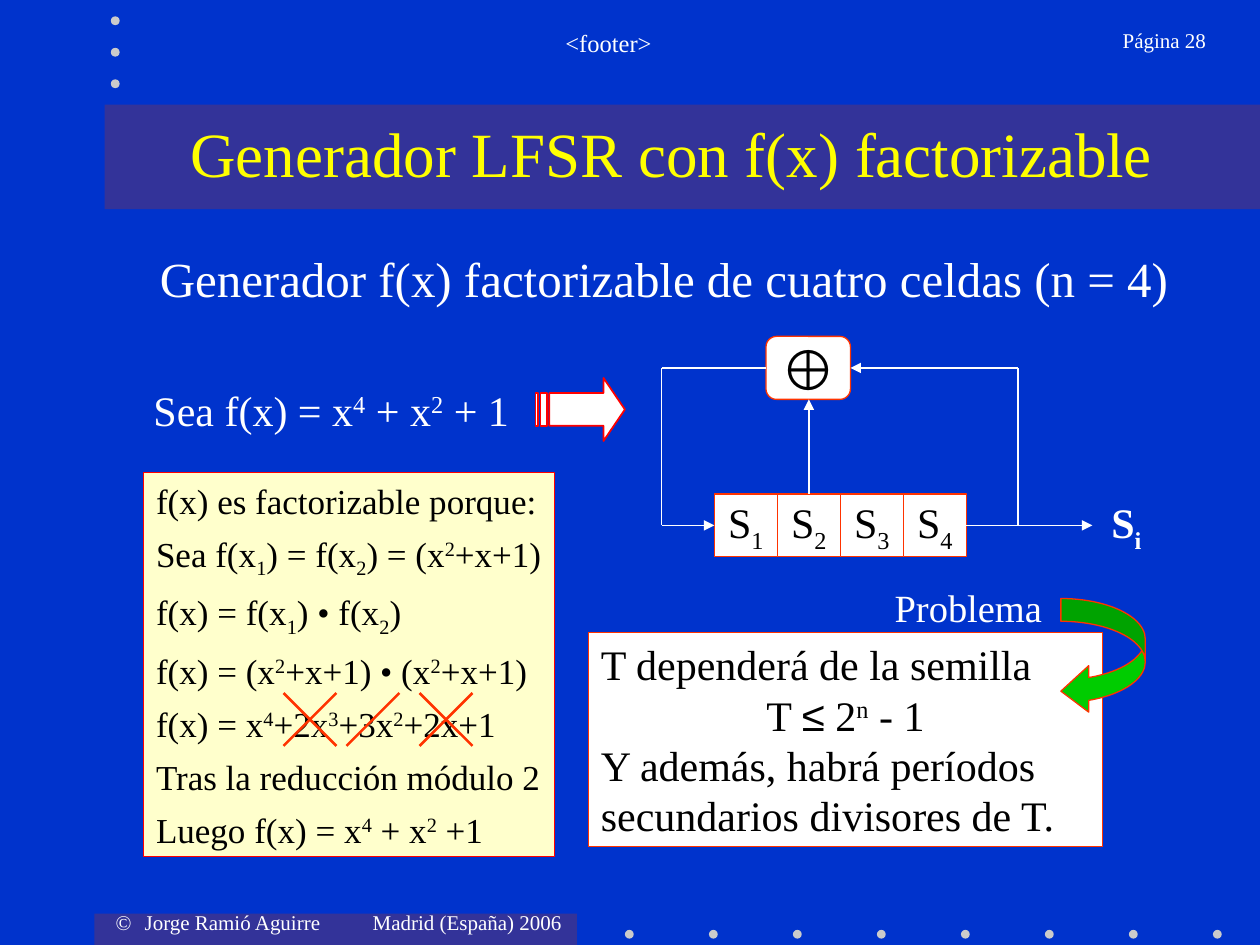
from pptx import Presentation
from pptx.dml.color import RGBColor
from pptx.enum.shapes import MSO_CONNECTOR, MSO_SHAPE
from pptx.enum.text import MSO_ANCHOR, PP_ALIGN
from pptx.oxml.ns import qn
from pptx.util import Inches, Pt
from lxml.etree import SubElement

COLORS = {
    "background": "0033CC", "band": "333399", "dot": "CBCBCB",
    "title": "FFFF00", "white": "FFFFFF", "black": "000000",
    "note": "FFFFCC", "red": "FF0000", "orange": "FF3300", "green": "00CC00",
}
BASELINES = {"^": "30000", "_": "-25000"}
SYMBOLS = "≤⊕"


def rgb(name):
    return RGBColor.from_string(COLORS[name])


def split_marks(text):
    """Split text into (piece, mark); ^ raises and _ lowers the next character."""
    pieces, plain, chars = [], "", iter(text)
    for ch in chars:
        if ch in BASELINES or ch in SYMBOLS:
            if plain:
                pieces.append((plain, None))
            plain = ""
            pieces.append((next(chars), ch) if ch in BASELINES else (ch, None))
        else:
            plain += ch
    if plain:
        pieces.append((plain, None))
    return pieces


class SlideBuilder:
    font = "Times New Roman"
    symbol_font = "Arial"

    def __init__(self, slide):
        self.slide = slide
        slide.background.fill.solid()
        slide.background.fill.fore_color.rgb = rgb("background")

    def paint(self, sp, fill, line=None, width=0.75):
        sp.shadow.inherit = False
        sp.fill.solid()
        sp.fill.fore_color.rgb = rgb(fill)
        if line:
            sp.line.color.rgb = rgb(line)
            sp.line.width = Pt(width)
        else:
            sp.line.fill.background()
        return sp

    def shape(self, kind, x, y, w, h, fill, line=None, adjustments=()):
        sp = self.slide.shapes.add_shape(kind, Inches(x), Inches(y), Inches(w), Inches(h))
        for i, value in enumerate(adjustments):
            sp.adjustments[i] = value
        return self.paint(sp, fill, line)

    def freeform(self, contours, fill, line, width):
        points = [[(Inches(x), Inches(y)) for x, y in c] for c in contours]
        builder = self.slide.shapes.build_freeform(*points[0][0])
        builder.add_line_segments(points[0][1:], close=True)
        for contour in points[1:]:
            builder.move_to(*contour[0])
            builder.add_line_segments(contour[1:], close=True)
        return self.paint(builder.convert_to_shape(), fill, line, width)

    def line(self, start, end, color="white", width=0.75, arrow=False):
        c = self.slide.shapes.add_connector(
            MSO_CONNECTOR.STRAIGHT, *(Inches(v) for v in start + end))
        c.line.color.rgb = rgb(color)
        c.line.width = Pt(width)
        spPr = c._element.spPr
        if arrow:
            SubElement(spPr.find(qn("a:ln")), qn("a:tailEnd"), type="triangle")
        SubElement(spPr, qn("a:effectLst"))

    def fill_text(self, sp, lines, size, color="black", align=PP_ALIGN.LEFT,
                  anchor=MSO_ANCHOR.MIDDLE, wrap=True, bold=False, gap=0):
        tf = sp.text_frame
        tf.word_wrap = wrap
        tf.vertical_anchor = anchor
        for i, line in enumerate(lines):
            p = tf.paragraphs[0] if i == 0 else tf.add_paragraph()
            p.alignment = align
            if i and gap:
                p.space_before = Pt(gap)
            for piece, mark in split_marks(line):
                r = p.add_run()
                r.text = piece
                r.font.size = Pt(size)
                r.font.bold = bold
                r.font.color.rgb = rgb(color)
                r.font.name = self.symbol_font if piece in SYMBOLS else self.font
                if mark:
                    r.font._element.set("baseline", BASELINES[mark])
        return tf

    def text(self, x, y, w, h, text, size, color="white", **style):
        box = self.slide.shapes.add_textbox(Inches(x), Inches(y), Inches(w), Inches(h))
        return self.fill_text(box, [text], size, color, **style)


def add_frame(s):
    s.shape(MSO_SHAPE.RECTANGLE, 0.75, 7.25, 3.83, 0.25, "band")
    s.shape(MSO_SHAPE.RECTANGLE, 0.83, 0.83, 9.17, 0.83, "band")
    dots = [(4.96 + i * 2 / 3, 7.38) for i in range(8)]
    dots += [(0.88, 0.13 + i * 0.25) for i in range(3)]
    for x, y in dots:
        s.shape(MSO_SHAPE.OVAL, x, y, 0.07, 0.07, "dot")

    top = MSO_ANCHOR.TOP
    tf = s.text(0.82, 7.17, 3.8, 0.34, "©\tJorge Ramió Aguirre\tMadrid (España) 2006",
                12, anchor=top)
    p = tf.paragraphs[0]
    tabs = SubElement(p._p.get_or_add_pPr(), qn("a:tabLst"))
    for stop in (0.23, 2.04):
        SubElement(tabs, qn("a:tab"), pos=str(Inches(stop)), algn="l")
    s.text(1.58, 0.17, 6.5, 0.5, "<footer>", 14, align=PP_ALIGN.CENTER, anchor=top)
    s.text(8.3, 0.17, 1.37, 0.5, "Página 28", 12, align=PP_ALIGN.RIGHT, anchor=top)
    s.text(0.83, 0.83, 9, 0.75, "Generador LFSR con f(x) factorizable", 36, "title",
           align=PP_ALIGN.CENTER)
    s.text(1.17, 1.92, 8.5, 0.58, "Generador f(x) factorizable de cuatro celdas (n = 4)",
           28, anchor=top)


def add_register(s):
    center = PP_ALIGN.CENTER
    for i in range(4):
        cell = s.shape(MSO_SHAPE.RECTANGLE, 5.67 + i * 0.5, 3.92, 0.5, 0.5, "white", "orange")
        s.fill_text(cell, [f"S_{i + 1}"], 24, align=center, wrap=False)
    xor = s.shape(MSO_SHAPE.ROUNDED_RECTANGLE, 6.08, 2.67, 0.67, 0.5, "white", "orange")
    s.fill_text(xor, ["⊕"], 32, align=center, wrap=False)

    left, right, upper, lower = 5.25, 8.08, 2.92, 4.17
    s.line((right, lower), (right, upper))
    s.line((7.67, lower), (8.67, lower), arrow=True)
    s.line((left, lower), (5.67, lower), arrow=True)
    s.line((6.42, 3.92), (6.42, 3.17), arrow=True)
    s.line((right, upper), (6.75, upper), arrow=True)
    s.line((6.08, upper), (left, upper))
    s.line((left, upper), (left, lower))
    s.text(8.72, 3.89, 0.44, 0.56, "S_i", 24, align=center, wrap=False, bold=True)


def add_factorization(s):
    s.text(1.12, 3, 3.17, 0.5, "Sea f(x) = x^4 + x^2 + 1", 24)
    s.freeform([
        [(4.36, 3.12), (4.79, 3.12), (4.79, 3), (4.96, 3.25),
         (4.79, 3.5), (4.79, 3.38), (4.36, 3.38)],
        *([(x1, 3.12), (x2, 3.12), (x2, 3.38), (x1, 3.38)]
          for x1, x2 in ((4.25, 4.27), (4.29, 4.34))),
    ], "white", "red", 1)
    note = s.shape(MSO_SHAPE.RECTANGLE, 1.14, 3.75, 3.26, 3.05, "note", "red")
    s.fill_text(note, [
        "f(x) es factorizable porque:",
        "Sea f(x_1) = f(x_2) = (x^2+x+1)",
        "f(x) = f(x_1) • f(x_2)",
        "f(x) = (x^2+x+1) • (x^2+x+1)",
        "f(x) = x^4+2x^3+3x^2+2x+1",
        "Tras la reducción módulo 2",
        "Luego f(x) = x^4 + x^2 +1",
    ], 20, wrap=False, gap=6.2)

    top, bottom, width = 5.5, 5.92, 0.42
    for x in (2.25, 3.33):
        s.line((x, top), (x + width, bottom), "orange", 1.5)
    for x in (2.25, 2.75, 3.33):
        s.line((x + width, top), (x, bottom), "orange", 1.5)


def add_problem(s):
    box = s.shape(MSO_SHAPE.RECTANGLE, 4.67, 5.02, 4.08, 1.7, "white", "orange")
    tf = s.fill_text(box, [
        "T dependerá de la semilla",
        "T ≤ 2^n - 1",
        "Y además, habrá períodos secundarios divisores de T.",
    ], 24)
    tf.paragraphs[1].alignment = PP_ALIGN.CENTER
    s.text(7, 4.58, 1.37, 0.47, "Problema", 22, align=PP_ALIGN.CENTER, wrap=False)
    s.shape(MSO_SHAPE.CURVED_LEFT_ARROW, 8.42, 4.75, 0.67, 0.92, "green", "orange",
            (0.27, 0.55, 0.33))


def main():
    prs = Presentation()
    prs.slide_width, prs.slide_height = Inches(10), Inches(7.5)
    s = SlideBuilder(prs.slides.add_slide(prs.slide_layouts[6]))
    add_frame(s)
    add_register(s)
    add_factorization(s)
    add_problem(s)
    prs.save("out.pptx")


if __name__ == "__main__":
    main()
